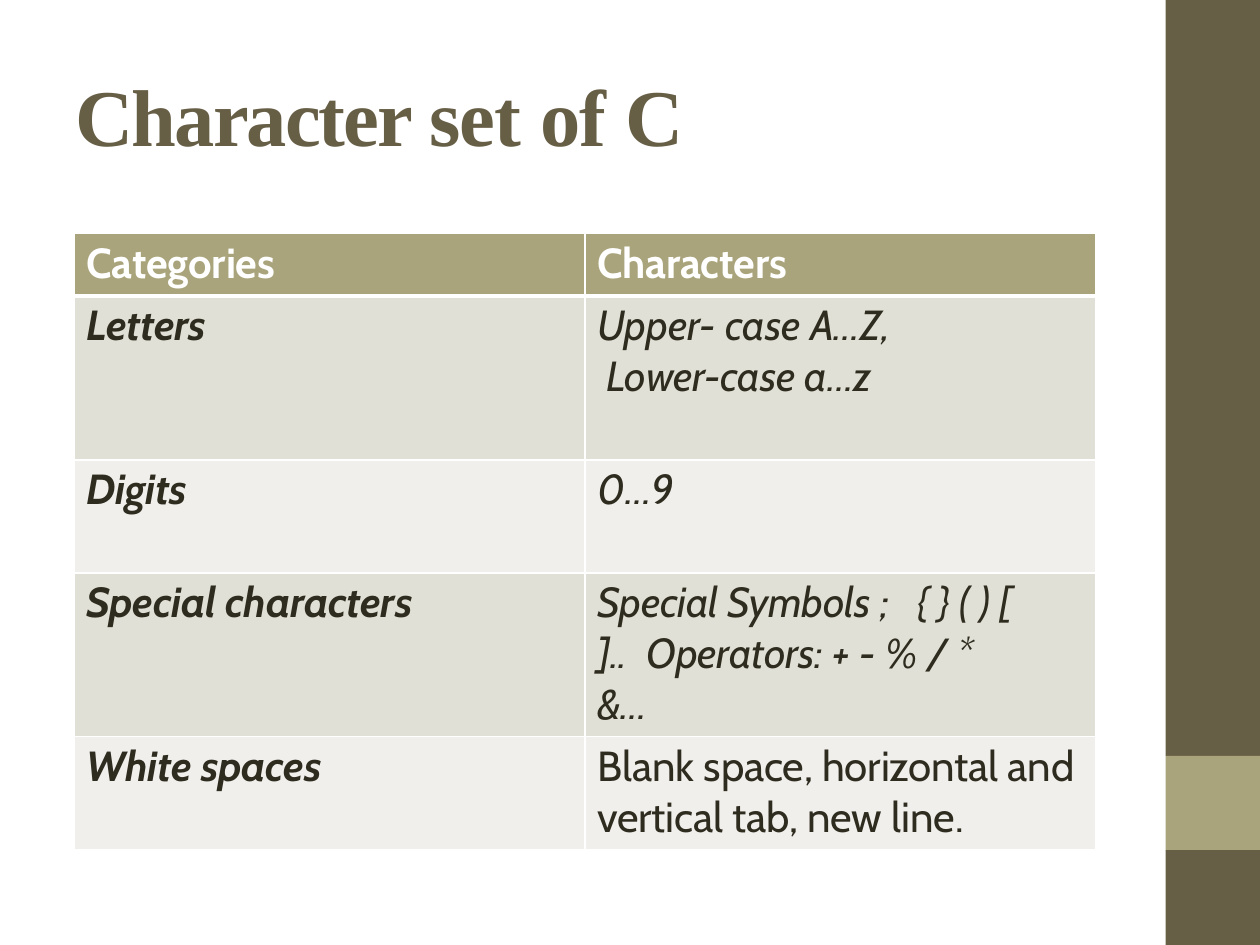
from dataclasses import dataclass

from lxml import etree
from pptx import Presentation
from pptx.dml.color import RGBColor
from pptx.enum.shapes import MSO_SHAPE
from pptx.oxml.ns import qn
from pptx.util import Cm, Pt

RECT = MSO_SHAPE.RECTANGLE


@dataclass(frozen=True)
class Theme:
    dark: str = "675E46"
    accent: str = "A9A47B"
    ink: str = "2E2B1F"
    white: str = "FFFFFF"
    bands: tuple = ("E1E0D6", "F0EFEB")
    title_font: str = "Times New Roman"
    body_font: str = "Cabin"
    title_size: float = 46
    body_size: float = 24
    rule: float = 1
    header_rule: float = 3


def rgb(value):
    return RGBColor.from_string(value)


class SlideBuilder:
    def __init__(self, slide, theme):
        self.s = slide
        self.theme = theme

    def bar(self, x, y, w, h, color):
        sp = self.s.shapes.add_shape(RECT, Cm(x), Cm(y), Cm(w), Cm(h))
        sp.shadow.inherit = False
        sp.fill.solid()
        sp.fill.fore_color.rgb = rgb(color)
        sp.line.fill.background()

    def runs(self, p, parts, font, size, color, bold=False, italic=False):
        """Add (text, letter spacing in points) parts to a paragraph."""
        for text, spacing in parts:
            r = p.add_run()
            r.text = text
            r.font.name, r.font.size = font, Pt(size)
            r.font.bold, r.font.italic = bold, italic
            r.font.color.rgb = rgb(color)
            r._r.get_or_add_rPr().set("spc", str(round(spacing * 100)))

    def title(self, x, y, w, h, parts):
        t = self.theme
        tf = self.s.shapes.add_textbox(Cm(x), Cm(y), Cm(w), Cm(h)).text_frame
        tf.word_wrap = True
        tf.margin_left = tf.margin_right = tf.margin_bottom = 0
        tf.margin_top = Cm(0.03)
        p = tf.paragraphs[0]
        p.space_before = Pt(0.9)
        p._p.get_or_add_pPr().set("marL", str(Cm(0.03)))
        self.runs(p, parts, t.title_font, t.title_size, t.dark, bold=True)

    def borders(self, cell, top, bottom):
        tc_pr = cell._tc.get_or_add_tcPr()
        widths = {"L": self.theme.rule, "R": self.theme.rule, "T": top, "B": bottom}
        for i, (side, width) in enumerate(widths.items()):
            ln = etree.Element(qn(f"a:ln{side}"), w=str(Pt(width)))
            fill = etree.SubElement(ln, qn("a:solidFill"))
            etree.SubElement(fill, qn("a:srgbClr"), val=self.theme.white)
            tc_pr.insert(i, ln)

    def cell(self, cell, paragraphs, fill, color, bold, italic,
             right=0, tab=None, indents=()):
        t = self.theme
        cell.fill.solid()
        cell.fill.fore_color.rgb = rgb(fill)
        cell.margin_left = cell.margin_bottom = 0
        cell.margin_right, cell.margin_top = Cm(right), Cm(0.08)
        tf = cell.text_frame
        for i, parts in enumerate(paragraphs):
            p = tf.add_paragraph() if i else tf.paragraphs[0]
            p.space_before = Pt(0 if i else 2)
            p_pr = p._p.get_or_add_pPr()
            p_pr.set("marL", str(Cm(indents[i] if indents else 0.25)))
            if tab:
                tabs = etree.SubElement(p_pr, qn("a:tabLst"))
                etree.SubElement(tabs, qn("a:tab"), pos=str(Cm(tab)), algn="l")
            self.runs(p, parts, t.body_font, t.body_size, color, bold, italic)

    def table(self, x, y, col_width, heights, header, rows):
        t = self.theme
        tbl = self.s.shapes.add_table(
            len(heights), len(header), Cm(x), Cm(y),
            Cm(col_width * len(header)), Cm(sum(heights))).table
        for col in tbl.columns:
            col.width = Cm(col_width)
        for row, height in zip(tbl.rows, heights):
            row.height = Cm(height)
        for c, text in enumerate(header):
            self.cell(tbl.cell(0, c), [[(text, -0.1)]], t.accent, t.white, True, False)
        for n, (name, paragraphs, options) in enumerate(rows):
            fill = t.bands[n % 2]
            self.cell(tbl.cell(n + 1, 0), [[(name, -0.1)]], fill, t.ink, True, True)
            self.cell(tbl.cell(n + 1, 1), paragraphs, fill, t.ink, False,
                      **{"italic": True, **options})
        for n in range(len(heights)):
            top = t.header_rule if n == 1 else t.rule
            bottom = t.header_rule if n == 0 else t.rule
            for c in range(len(header)):
                self.borders(tbl.cell(n, c), top, bottom)


TITLE = [("Character ", -1.1), ("set ", -0.7), ("of ", -0.5), ("C", 0)]
HEADER = ("Categories", "Characters")
# Category, paragraphs of the characters cell, cell options
ROWS = [
    ("Letters",
     [[("Upper- ", 0), ("case ", -0.1), ("A…Z,", 0)], [("Lower-case a…z", -0.1)]],
     {"indents": (0.25, 0.43)}),
    ("Digits", [[("0…9", 0)]], {}),
    ("Special characters",
     [[("Special Symbols ", -0.1), (";\t{ } ( ) [ ]..  ", 0), ("Operators: ", -0.1),
       ("+ - % / * ", 0), ("&…", -0.1)]],
     {"right": 1.5, "tab": 6.45}),
    ("White spaces",
     [[("Blank ", 0), ("space, horizontal ", -0.1), ("and", 0)],
      [("vertical tab, new ", -0.1), ("line.", 0)]],
     {"italic": False}),
]


def main():
    prs = Presentation()
    prs.slide_width, prs.slide_height = Cm(25.4), Cm(19.05)
    theme = Theme()
    b = SlideBuilder(prs.slides.add_slide(prs.slide_layouts[6]), theme)

    # Side band with accent square
    side = 1.9
    left = 25.4 - side
    b.bar(left, 0, side, 15.24, theme.dark)
    b.bar(left, 15.24, side, side, theme.accent)
    b.bar(left, 15.24 + side, side, 19.05 - 15.24 - side, theme.dark)

    # Title and table
    b.title(1.5, 1.3, 12.42, 2.01, TITLE)
    b.table(1.49, 4.71, 10.3, (1.26, 3.3, 2.28, 3.3, 2.28), HEADER, ROWS)

    prs.save("out.pptx")


if __name__ == "__main__":
    main()
